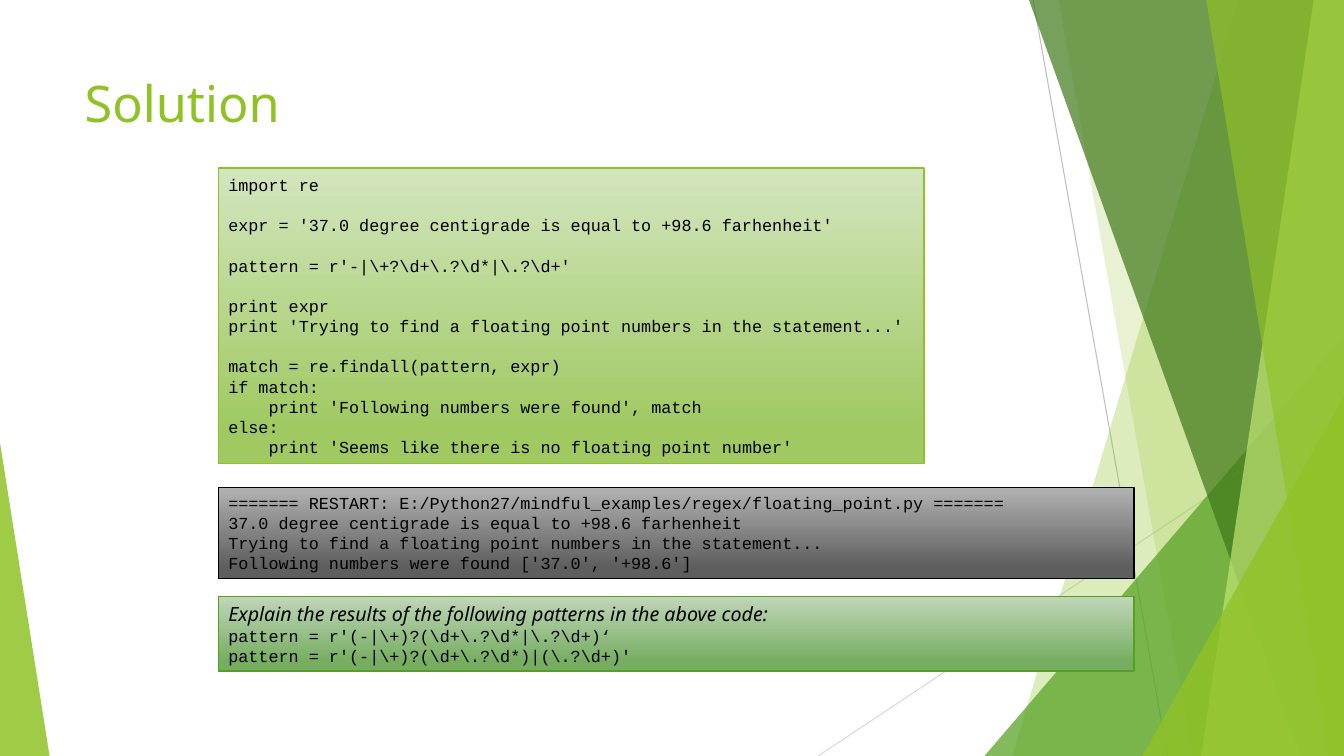
import dataclasses

import lxml.etree
import pptx
import pptx.dml.color
import pptx.enum.shapes
import pptx.enum.text
import pptx.oxml.ns
import pptx.util


@dataclasses.dataclass(frozen=True)
class Theme:
    """Colours, fonts and type sizes of the deck."""
    lime: str = "90C226"
    green: str = "54A021"
    forest: str = "3F7819"
    pale: str = "C0E474"
    black: str = "000000"
    steep_line: str = "BFBFBF"
    flat_line: str = "D9D9D9"
    code_fade: tuple = ("D3E5BE", "A0C962")
    output_fade: tuple = ("B2B2B2", "5E5E5E")
    task_fade: tuple = ("C0D6B9", "76AD61")
    sans: str = "Noto Sans"
    mono: str = "Courier New"
    title_size: int = 36
    task_size: int = 14
    code_size: int = 12
    code_line: float = 14.4
    code_indent: float = 7.2


COLUMNS, ROWS = 80, 45
CELL = pptx.util.Inches(1) / 6


def grid(*counts):
    """Turn counts of grid cells into lengths."""
    return [pptx.util.Emu(round(count * CELL)) for count in counts]


def rgb(code):
    """Turn a hex code into a colour."""
    return pptx.dml.color.RGBColor.from_string(code)


class SlideBuilder:
    """Draw styled elements on the current slide, measured in grid cells."""

    def __init__(self, page, theme):
        self.shapes = page.shapes
        self.theme = theme

    def line(self, start, end, color):
        connector = self.shapes.add_connector(
            pptx.enum.shapes.MSO_CONNECTOR.STRAIGHT, *grid(*start, *end))
        connector.line.color.rgb = rgb(color)
        connector.line.width = pptx.util.Pt(0.75)
        lxml.etree.SubElement(connector._element.spPr, pptx.oxml.ns.qn("a:effectLst"))

    def tint(self, shape, color, opacity):
        shape.shadow.inherit = False
        shape.fill.solid()
        shape.fill.fore_color.rgb = rgb(color)
        tone = shape._element.spPr.find(".//" + pptx.oxml.ns.qn("a:srgbClr"))
        alpha = lxml.etree.SubElement(tone, pptx.oxml.ns.qn("a:alpha"))
        alpha.set("val", str(opacity * 1000))
        shape.line.fill.background()

    def band(self, top, bottom, color, opacity):
        corners = [(top, 0), (COLUMNS, 0), (COLUMNS, ROWS), (bottom, ROWS)]
        start, *others = [grid(*corner) for corner in corners]
        outline = self.shapes.build_freeform(*start)
        outline.add_line_segments(others, close=True)
        self.tint(outline.convert_to_shape(), color, opacity)

    def triangle(self, left, top, width, apex, color, opacity):
        shape = self.shapes.add_shape(
            pptx.enum.shapes.MSO_SHAPE.ISOSCELES_TRIANGLE,
            *grid(left, top, width, ROWS - top))
        shape.adjustments[0] = apex
        self.tint(shape, color, opacity)

    def style(self, para, font, size, color, italic=False):
        for span in para.runs:
            span.font.name = font
            span.font.size = pptx.util.Pt(size)
            span.font.color.rgb = rgb(color)
            span.font.italic = italic

    def title(self, text, place):
        box = self.shapes.add_textbox(*grid(*place))
        box.text_frame.word_wrap = True
        box.text_frame.text = text
        self.style(box.text_frame.paragraphs[0], self.theme.sans,
                   self.theme.title_size, self.theme.lime)

    def panel(self, place, fade, border, code, heading=None):
        box = self.shapes.add_shape(
            pptx.enum.shapes.MSO_SHAPE.RECTANGLE, *grid(*place))
        box.shadow.inherit = False
        box.fill.gradient()
        box.fill.gradient_angle = 270
        for stop, color, position in zip(box.fill.gradient_stops, fade, (0, 0.88)):
            stop.color.rgb = rgb(color)
            stop.position = position
        box.line.color.rgb = rgb(border)
        box.line.width = pptx.util.Pt(1)

        frame = box.text_frame
        frame.word_wrap = True
        frame.vertical_anchor = pptx.enum.text.MSO_ANCHOR.MIDDLE
        lines = ([heading] if heading else []) + code.split("\n")
        frame.text = "\n".join(line.lstrip() for line in lines if line)
        paras = iter(frame.paragraphs)
        gap = 0
        for line in lines:
            if not line:
                gap += self.theme.code_line
                continue
            para = next(paras)
            para.alignment = pptx.enum.text.PP_ALIGN.LEFT
            para.space_before = pptx.util.Pt(gap)
            gap = 0
            indent = len(line) - len(line.lstrip())
            if indent:
                margin = pptx.util.Pt(indent * self.theme.code_indent)
                para._p.get_or_add_pPr().set("marL", str(margin))
            if line == heading:
                self.style(para, self.theme.sans, self.theme.task_size,
                           self.theme.black, italic=True)
            else:
                self.style(para, self.theme.mono, self.theme.code_size,
                           self.theme.black)


PROGRAM = r"""import re

expr = '37.0 degree centigrade is equal to +98.6 farhenheit'

pattern = r'-|\+?\d+\.?\d*|\.?\d+'

print expr
print 'Trying to find a floating point numbers in the statement...'

match = re.findall(pattern, expr)
if match:
    print 'Following numbers were found', match
else:
    print 'Seems like there is no floating point number'"""

OUTPUT = """======= RESTART: E:/Python27/mindful_examples/regex/floating_point.py =======
37.0 degree centigrade is equal to +98.6 farhenheit
Trying to find a floating point numbers in the statement...
Following numbers were found ['37.0', '+98.6']"""

PATTERNS = r"""pattern = r'(-|\+)?(\d+\.?\d*|\.?\d+)‘
pattern = r'(-|\+)?(\d+\.?\d*)|(\.?\d+)'"""

theme = Theme()
deck = pptx.Presentation()
deck.slide_width, deck.slide_height = grid(COLUMNS, ROWS)
slide = SlideBuilder(deck.slides.add_slide(deck.slide_layouts[6]), theme)

slide.line((61.5, 0), (69.5, ROWS), theme.steep_line)
slide.line((COLUMNS, 24.2), (48.7, ROWS), theme.flat_line)
slide.band(73.7, 60.25, theme.lime, 30)
slide.band(63, 71, theme.lime, 20)
slide.triangle(58.6, 20, 21.4, 1, theme.green, 72)
slide.band(61.25, 77.45, theme.forest, 70)
slide.band(78.2, 71.5, theme.pale, 70)
slide.band(71.8, 79.1, theme.lime, 65)
slide.triangle(68, 23.6, 12, 1, theme.lime, 80)
slide.triangle(0, 26.35, 2.95, 0, theme.lime, 85)

slide.title("Solution", (4.45, 4, 56.4, 8.65))
slide.panel((13, 10, 42, 17.6), theme.code_fade, theme.lime, PROGRAM)
slide.panel((13, 29, 54.5, 5.45), theme.output_fade, theme.black, OUTPUT)
slide.panel((13, 35.5, 54.5, 4.45), theme.task_fade, theme.green, PATTERNS,
            "Explain the results of the following patterns in the above code:")

deck.save("out.pptx")
